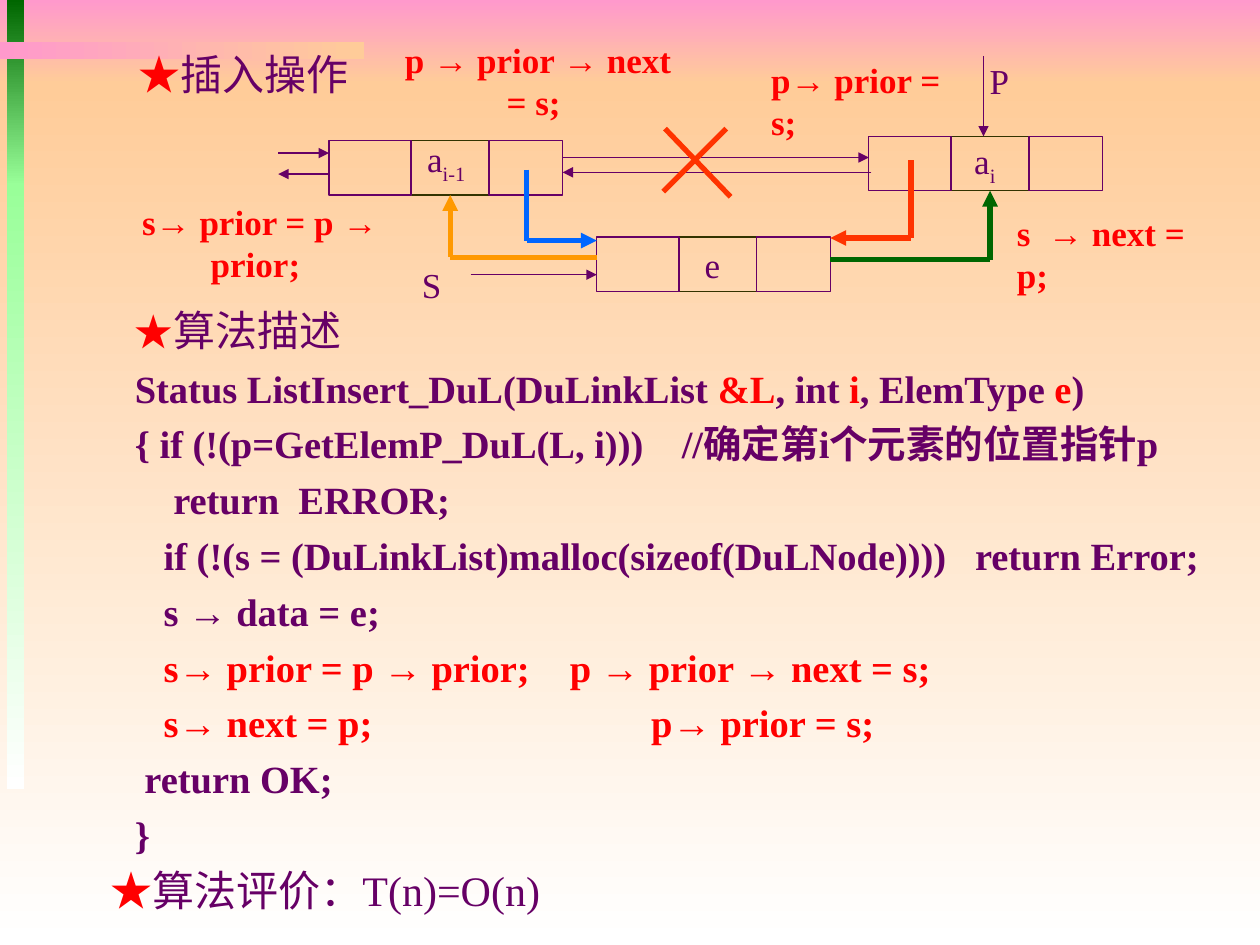
from itertools import groupby

from lxml.etree import SubElement
from pptx import Presentation
from pptx.dml.color import RGBColor
from pptx.enum.shapes import MSO_CONNECTOR, MSO_SHAPE
from pptx.enum.text import MSO_ANCHOR, PP_ALIGN
from pptx.oxml.ns import qn
from pptx.util import Pt

PURPLE, RED, OLIVE = "660066", "FF0000", "333300"
BLUE, ORANGE, GREEN, VERMILION = "0066FF", "FF9900", "006600", "FF3300"
PINK, PEACH, LIME, WHITE = "FF99CC", "FFCC99", "99FF99", "FFFFFF"
rgb = RGBColor.from_string

prs = Presentation()
prs.slide_width, prs.slide_height = Pt(720), Pt(540)
s = prs.slides.add_slide(prs.slide_layouts[6])


def add_text(box, paragraphs, size, bold=False, before=0, align=PP_ALIGN.LEFT):
    """Each paragraph is a list of (text, colour); arrows and stars are set in Arial."""
    x, y, w, h = box
    tb = s.shapes.add_textbox(Pt(x), Pt(y), Pt(w), Pt(h))
    tf = tb.text_frame
    tf.word_wrap = True
    for i, parts in enumerate(paragraphs):
        p = tf.paragraphs[0] if i == 0 else tf.add_paragraph()
        p.alignment = align
        if i:
            p.space_before = Pt(before)
        for text, color in parts:
            for symbol, chars in groupby(text, lambda c: c in "→★"):
                r = p.add_run()
                r.text = "".join(chars)
                r.font.name = "Arial" if symbol else "Times New Roman"
                r.font.size, r.font.bold = Pt(size), bold
                r.font.color.rgb = rgb(color)
    return tf


def add_line(x1, y1, x2, y2, color=PURPLE, width=0.75, arrow=True):
    c = s.shapes.add_connector(MSO_CONNECTOR.STRAIGHT, Pt(x1), Pt(y1), Pt(x2), Pt(y2))
    c.line.color.rgb, c.line.width = rgb(color), Pt(width)
    if arrow:
        SubElement(c.line._get_or_add_ln(), qn("a:tailEnd"), type="triangle")
    SubElement(c._element.spPr, qn("a:effectLst"))
    return c


# Background bands
for x, y, w, h, start, end, angle in [
    (0, 0, 720, 48, PINK, PEACH, 270),
    (0, 48, 720, 492, PEACH, WHITE, 270),
    (4, 0, 10, 106, GREEN, LIME, 270),
    (4, 105, 10, 346, LIME, WHITE, 270),
    (0, 24, 208, 10, PINK, PEACH, 0),
]:
    band = s.shapes.add_shape(MSO_SHAPE.RECTANGLE, Pt(x), Pt(y), Pt(w), Pt(h))
    band.shadow.inherit = False
    band.line.fill.background()
    band.fill.gradient()
    band.fill.gradient_angle = angle
    for stop, position, color in zip(band.fill.gradient_stops, (0, 1), (start, end)):
        stop.position, stop.color.rgb = position, rgb(color)

# List nodes: prior, data and next cells
CELLS = [(47, 44.5, OLIVE), (0, 47, PURPLE), (91.5, 42, PURPLE)]
data_cells = []
for left, top in [(188, 80.5), (496.5, 78), (341, 135.5)]:
    for dx, w, color in CELLS:
        cell = s.shapes.add_shape(MSO_SHAPE.RECTANGLE, Pt(left + dx), Pt(top), Pt(w), Pt(31))
        cell.shadow.inherit = False
        cell.fill.background()
        cell.line.color.rgb, cell.line.width = rgb(color), Pt(0.75)
        if color == OLIVE:
            data_cells.append(cell)

# Existing links and pointers
for ends in [
    (159, 87.5, 188, 87.5), (188, 99.5, 159, 99.5),
    (321.5, 90, 496.5, 90), (498, 98.5, 321.5, 98.5),
    (562, 32, 562, 78), (269, 157, 341, 157),
]:
    add_line(*ends)

# New links: a plain segment, then one with an arrowhead
PREV_X, NEXT_X = 257.25, 565.75
for color, (x1, y1), (x2, y2), (x3, y3), target in [
    (BLUE, (301, 97), (301, 137.5), (341, 137.5), None),
    (ORANGE, (341, 147), (PREV_X, 147), (PREV_X, 111.5), data_cells[0]),
    (GREEN, (474.5, 148.5), (NEXT_X, 148.5), (NEXT_X, 109), data_cells[1]),
    (VERMILION, (520.5, 91.5), (520.5, 136), (474.5, 136), None),
]:
    add_line(x1, y1, x2, y2, color, 3, arrow=False)
    head = add_line(x2, y2, x3, y3, color, 3)
    if target is not None:
        head.end_connect(target, 2)

# Cross over the removed links
add_line(415, 73.5, 379, 109.5, VERMILION, 3, arrow=False)
add_line(380, 73.5, 417.5, 112.5, VERMILION, 3, arrow=False)

# Node and pointer names
for x, y, w, h, name, sub in [
    (237, 75, 36, 34.5, "a", "i-1"), (549.5, 76, 26.5, 34.5, "a", "i"),
    (395.5, 135.5, 23, 31.5, "e", ""), (234, 147, 25, 31.5, "S", ""),
    (558.5, 30, 25, 31.5, "P", ""),
]:
    parts = [(name, PURPLE), (sub, PURPLE)]
    tf = add_text((x, y, w, h), [parts], 20, align=PP_ALIGN.CENTER)
    tf.word_wrap = False
    tf.vertical_anchor = MSO_ANCHOR.MIDDLE
    if sub:
        tf.paragraphs[0].runs[1].font._element.set("baseline", "-25000")

# Statement labels beside the new links
for box, text, centred in [
    ((44.5, 123, 203, 31.5), " s→ prior = p → prior;", True),
    ((205, 30, 200, 31.5), " p → prior → next = s;", True),
    ((574, 117.5, 129.5, 31.5), "s  → next = p;", False),
    ((433.5, 30, 126.5, 31.5), "p→ prior = s;", False),
]:
    tf = add_text(box, [[(text, RED)]], 20, bold=True,
                  align=PP_ALIGN.CENTER if centred else PP_ALIGN.LEFT)
    tf.margin_right = Pt(14)
    if centred:
        tf.margin_left = Pt(14)
        tf.vertical_anchor = MSO_ANCHOR.MIDDLE

# Headings and algorithm
add_text((72, 24, 600, 34.5), [[("★", RED), ("插入操作", PURPLE)]], 24)
add_text((56, 490.5, 564, 34.5), [[("★", RED), ("算法评价：T(n)=O(n)", PURPLE)]], 24)

code = [
    [("★", RED), ("算法描述", PURPLE)],
    [("Status ListInsert_DuL(DuLinkList ", PURPLE), ("&L", RED), (", int", PURPLE),
     (" i", RED), (", ElemType ", PURPLE), ("e", RED), (")", PURPLE)],
    [("{ if (!(p=GetElemP_DuL(L, i)))    //确定第i个元素的位置指针p", PURPLE)],
    [("    return  ERROR;", PURPLE)],
    [("   if (!(s = (DuLinkList)malloc(sizeof(DuLNode))))   return Error;", PURPLE)],
    [("   s → data = e;", PURPLE)],
    [("   s→ prior = p → prior;\tp → prior → next = s;", RED)],
    [("   s→ next = p;\tp→ prior = s;", RED)],
    [(" return OK;", PURPLE)],
    [("}", PURPLE)],
]
tf = add_text((70, 170.5, 650, 294), code, 22, bold=True, before=5.5)
for r, size in zip(tf.paragraphs[0].runs, (22, 24)):
    r.font.size, r.font.bold = Pt(size), False
for p, stop in zip(tf.paragraphs[6:8], (248.5, 295)):
    tabs = SubElement(p._p.get_or_add_pPr(), qn("a:tabLst"))
    SubElement(tabs, qn("a:tab"), pos=str(Pt(stop)), algn="l")

prs.save("out.pptx")
